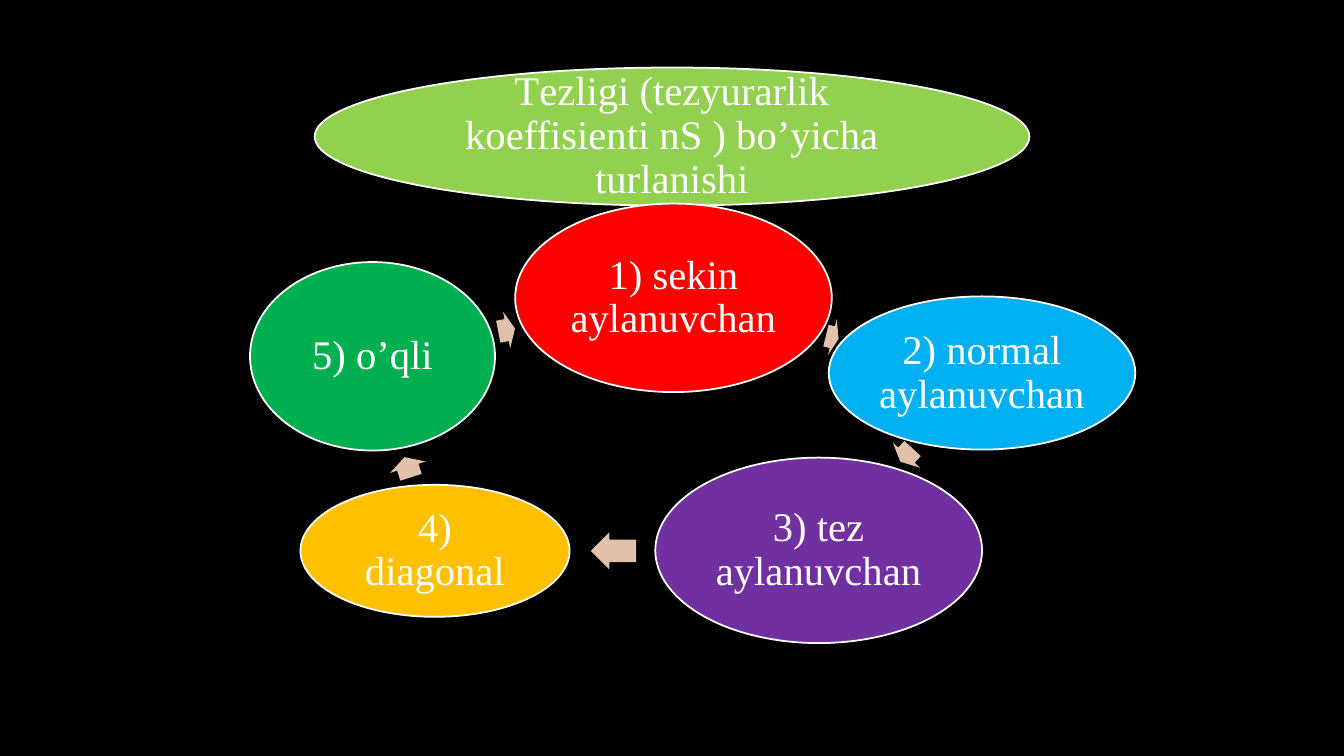
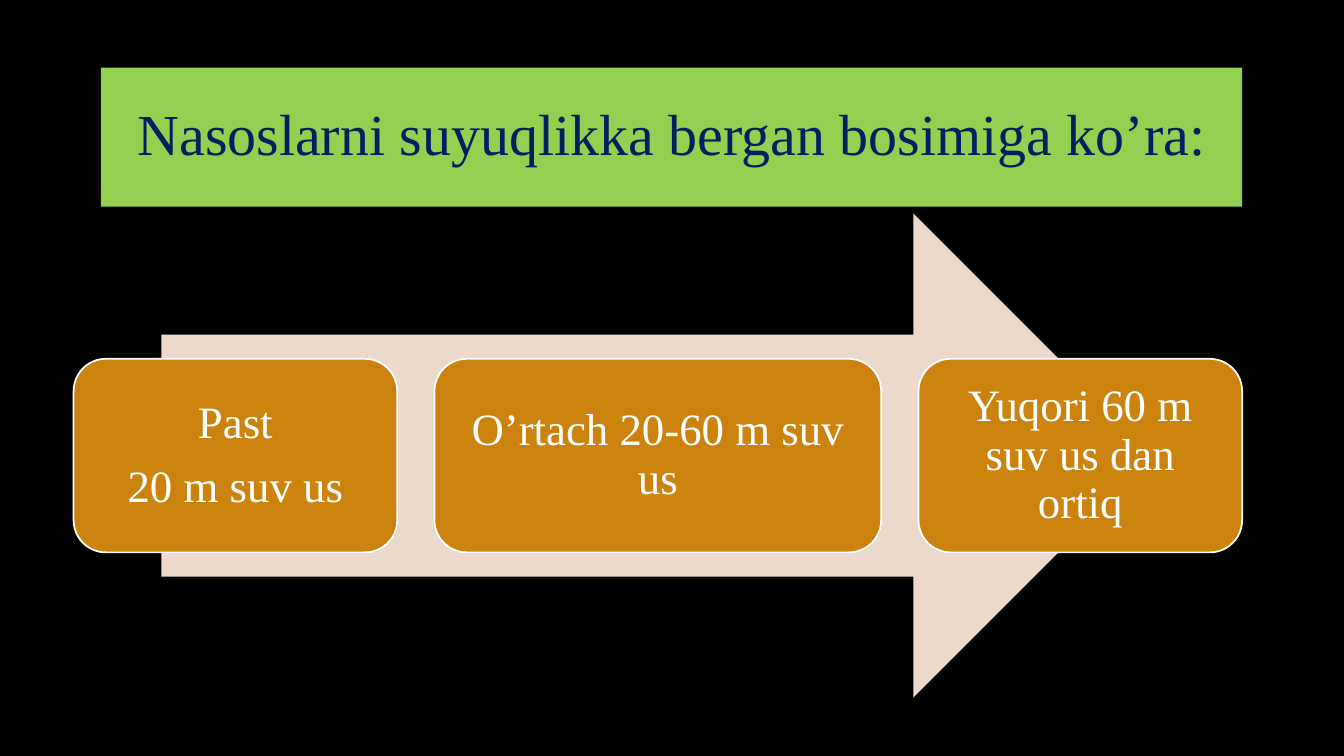
from pptx import Presentation
from pptx.dml.color import RGBColor
from pptx.enum.shapes import MSO_SHAPE
from pptx.enum.text import MSO_ANCHOR, MSO_AUTO_SIZE, PP_ALIGN
from pptx.util import Inches, Pt

FONT = "Times New Roman"
BLACK, WHITE, NAVY = "000000", "FFFFFF", "002060"
GREEN, PEACH, PALE, OCHRE = "92D050", "E2C1AB", "ECD9CC", "CC830E"

# Text, fill, box (left, top, width, height)
NODES = [
    ("1) sеkin aylanuvchan", "FF0000", (5.11, 2.02, 3.14, 1.87)),
    ("2) nоrmal aylanuvchan", "00B0F0", (8.22, 2.94, 3.04, 1.52)),
    ("3) tеz aylanuvchan", "7030A0", (6.5, 4.54, 3.24, 1.84)),
    ("4) diagоnal", "FFC000", (2.98, 4.81, 2.67, 1.31)),
    ("5) o’qli", "00B050", (2.48, 2.6, 2.43, 1.87)),
]
# Left, top, width, angle of the arrow that leaves each node
ARROWS = [
    (8.19, 3.16, 0.13, 13.6),
    (8.9, 4.33, 0.18, 132.7),
    (5.86, 5.28, 0.45, 180),
    (3.94, 4.45, 0.21, 252.2),
    (4.94, 3.09, 0.17, 349.1),
]
# Text, width
STEPS = [
    ("Past\n20 m suv us", 3.21),
    ("O’rtach 20-60 m suv us", 4.43),
    ("Yuqori 60 m suv us dan ortiq", 3.21),
]


def color(code):
    return RGBColor.from_string(code)


def write(shape, text, size, ink=WHITE, inset=0.04):
    frame = shape.text_frame
    frame.text = text
    frame.word_wrap = True
    frame.auto_size = MSO_AUTO_SIZE.NONE
    frame.vertical_anchor = MSO_ANCHOR.MIDDLE
    frame.margin_left = frame.margin_right = Inches(inset)
    frame.margin_top = frame.margin_bottom = Inches(inset)
    for i, para in enumerate(frame.paragraphs):
        para.alignment = PP_ALIGN.CENTER
        para.line_spacing = 0.9
        para.space_before = Pt(0.35 * size if i else 0)
        for run in para.runs:
            run.font.name = FONT
            run.font.size = Pt(size)
            run.font.color.rgb = color(ink)


def draw(slide, kind, box, fill, edge=None):
    shape = slide.shapes.add_shape(kind, *map(Inches, box))
    shape.shadow.inherit = False
    shape.fill.solid()
    shape.fill.fore_color.rgb = color(fill)
    if edge:
        shape.line.color.rgb = color(edge)
        shape.line.width = Pt(1.25)
    else:
        shape.line.fill.background()
    return shape


def place_title(slide, box, text, size, ink, inset):
    title = slide.shapes.title
    title.left, title.top, title.width, title.height = map(Inches, box)
    write(title, text, size, ink, inset)
    return title


def add_slide(prs):
    return prs.slides.add_slide(prs.slide_layouts[5])


def oval_title(slide, box, text):
    """Draw an oval and set the title in the box that fits inside it."""
    draw(slide, MSO_SHAPE.OVAL, box, GREEN, WHITE)
    left, top, width, height = box
    inner = (left + 0.147 * width, top + 0.147 * height,
             0.706 * width, 0.706 * height)
    title = place_title(slide, inner, text, 29, WHITE, 0.04)
    slide.shapes._spTree.append(title._element)


def cycle(slide):
    for (text, fill, box), (left, top, width, angle) in zip(NODES, ARROWS):
        write(draw(slide, MSO_SHAPE.OVAL, box, fill, WHITE), text, 29)
        arrow = draw(slide, MSO_SHAPE.RIGHT_ARROW,
                     (left, top, width, 0.37), PEACH)
        arrow.adjustments[0] = 0.6
        arrow.rotation = angle


def process(slide, left, top, height, gap):
    for text, width in STEPS:
        card = draw(slide, MSO_SHAPE.ROUNDED_RECTANGLE,
                    (left, top, width, height), OCHRE, WHITE)
        write(card, text, 32, inset=0.13)
        left += width + gap


def speed_slide(prs):
    slide = add_slide(prs)
    oval_title(slide, (3.12, 0.67, 7.09, 1.37),
               "Tеzligi (tezyurarlik kоeffisiеnti nS ) bo’yicha turlanishi")
    cycle(slide)


def pressure_slide(prs):
    slide = add_slide(prs)
    title = place_title(slide, (1, 0.67, 11.32, 1.38),
                        "Nasoslarni suyuqlikka bergan bosimiga ko’ra:",
                        41.4, NAVY, 0.1)
    title.fill.solid()
    title.fill.fore_color.rgb = color(GREEN)
    draw(slide, MSO_SHAPE.RIGHT_ARROW, (1.6, 2.12, 9.86, 4.8), PALE)
    process(slide, 0.73, 3.56, 1.92, 0.37)


def main():
    prs = Presentation()
    prs.slide_width, prs.slide_height = Inches(13.33), Inches(7.5)
    back = prs.slide_master.background.fill
    back.solid()
    back.fore_color.rgb = color(BLACK)
    speed_slide(prs)
    pressure_slide(prs)
    prs.save("out.pptx")


if __name__ == "__main__":
    main()
